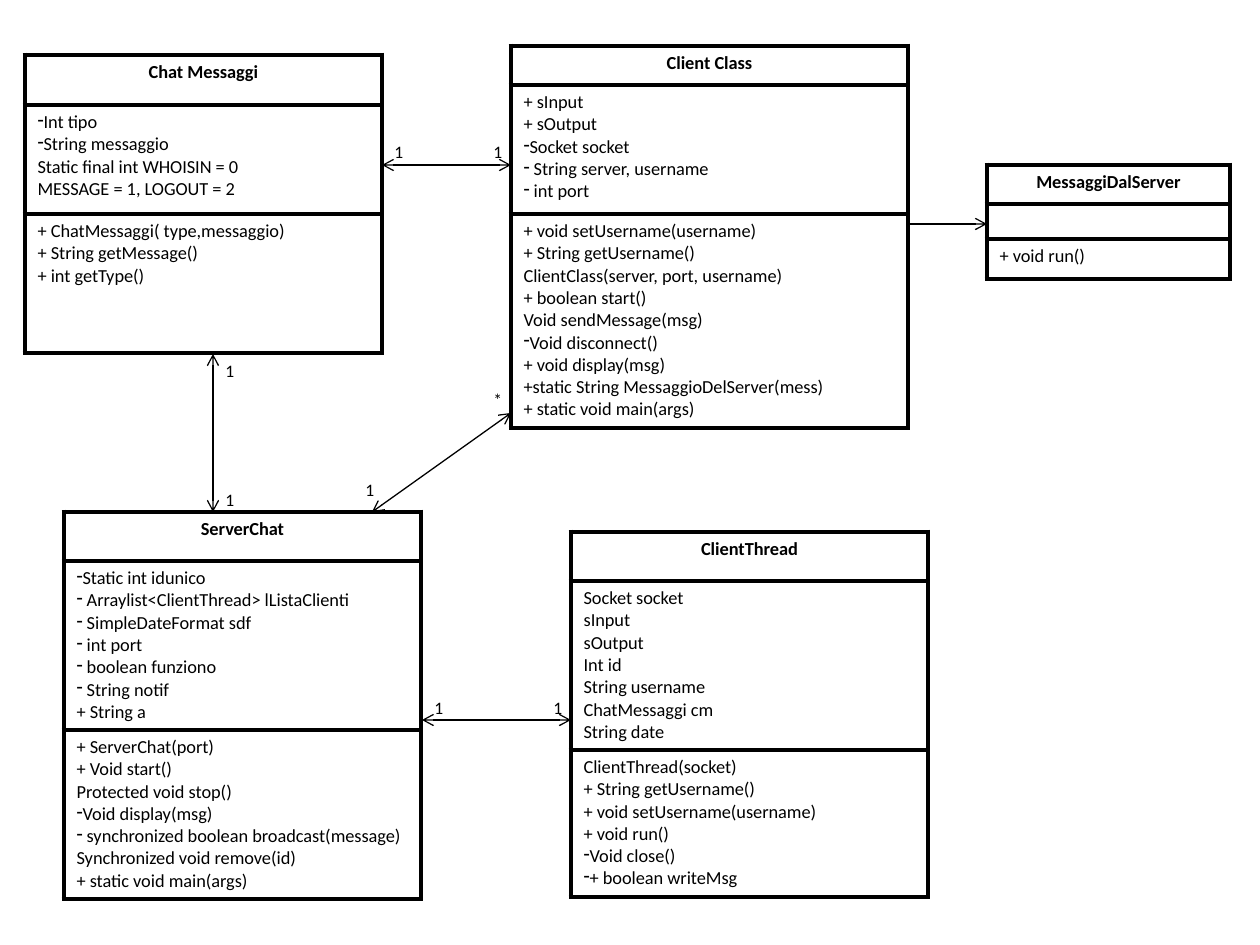
from lxml import etree
from pptx import Presentation, util as u
from pptx.dml.color import RGBColor
from pptx.enum import shapes, text
from pptx.oxml import ns

PX = 914400 / 126
BLACK, WHITE = "000000", "FFFFFF"
FONT = {"name": "Calibri", "size": u.Pt(10.5)}
LABEL_FONT = {"name": "Calibri", "size": u.Pt(10)}
BORDER = u.Pt(3)
LABEL_SIZE = (30, 34)

# Classes: left, top, width, row heights, name, attributes, methods.
# A line that starts with "-" is a bulleted paragraph.
CLASSES = [
    (25, 55, 357, (50, 109, 139), "Chat Messaggi",
     ["-Int tipo", "-String messaggio", "Static final int WHOISIN = 0",
      "MESSAGE = 1, LOGOUT = 2"],
     ["+ ChatMessaggi( type,messaggio)", "+ String getMessage()", "+ int getType()"]),
    (511, 46, 397, (39, 129, 214), "Client Class",
     ["+ sInput", "+ sOutput", "-Socket socket", "- String server, username",
      "- int port"],
     ["+ void setUsername(username)", "+ String getUsername()",
      "ClientClass(server, port, username)", "+ boolean start()",
      "Void sendMessage(msg)", "-Void disconnect()", "+ void display(msg)",
      "+static String MessaggioDelServer(mess)", "+ static void main(args)"]),
    (987, 165, 243, (39, 35, 40), "MessaggiDalServer", [], ["+ void run()"]),
    (64, 512, 357, (49, 169, 169), "ServerChat",
     ["-Static int idunico", "- Arraylist<ClientThread> lListaClienti",
      "- SimpleDateFormat sdf", "- int port", "- boolean funziono",
      "- String notif", "+ String a"],
     ["+ ServerChat(port)", "+ Void start()", "Protected void stop()",
      "-Void display(msg)", "- synchronized boolean broadcast(message)",
      "Synchronized void remove(id)", "+ static void main(args)"]),
    (571, 532, 357, (49, 169, 147), "ClientThread",
     ["Socket socket", "sInput", "sOutput", "Int id", "String username",
      "ChatMessaggi cm", "String date"],
     ["ClientThread(socket)", "+ String getUsername()",
      "+ void setUsername(username)", "+ void run()", "-Void close()",
      "-+ boolean writeMsg"]),
]

# Associations: start, end, arrowheads, multiplicities with their corners
BOTH, END = ("headEnd", "tailEnd"), ("tailEnd",)
ASSOCIATIONS = [
    ((511, 165), (382, 165), BOTH, [("1", 382, 135), ("1", 481, 135)]),
    ((908, 224), (987, 224), END, []),
    ((511, 413), (372, 512), BOTH, [("1", 353, 473), ("*", 481, 383)]),
    ((213, 354), (213, 512), BOTH, [("1", 213, 354), ("1", 213, 483)]),
    ((571, 720), (422, 720), BOTH, [("1", 422, 691), ("1", 541, 691)]),
]


def px(*values):
    return [u.Emu(round(value * PX)) for value in values]


def color(value):
    return RGBColor.from_string(value)


def add_xml(parent, tag, **attributes):
    return etree.SubElement(parent, ns.qn(tag), attributes)


def write(paragraph, content, font):
    run = paragraph.add_run()
    run.text = content
    run.font.color.rgb = color(BLACK)
    for name, value in font.items():
        setattr(run.font, name, value)


def add_bullet(paragraph):
    properties = paragraph._p.get_or_add_pPr()
    properties.set("marL", "0")
    properties.set("indent", "0")
    add_xml(properties, "a:buFontTx")
    add_xml(properties, "a:buChar", char="-")


def style_cell(cell):
    cell.fill.solid()
    cell.fill.fore_color.rgb = color(WHITE)
    properties = cell._tc.get_or_add_tcPr()
    for index, side in enumerate("LRTB"):
        line = add_xml(properties, f"a:ln{side}", w=str(BORDER))
        add_xml(add_xml(line, "a:solidFill"), "a:srgbClr", val=BLACK)
        properties.insert(index, line)


def fill_cell(cell, lines, bold=False):
    style_cell(cell)
    frame = cell.text_frame
    if not lines:  # an empty compartment keeps the height of one text line
        add_xml(frame.paragraphs[0]._p, "a:endParaRPr", sz="1050")
    for index, line in enumerate(lines):
        paragraph = frame.add_paragraph() if index else frame.paragraphs[0]
        if bold:
            paragraph.alignment = text.PP_ALIGN.CENTER
        if line.startswith("-"):
            add_bullet(paragraph)
            line = line[1:]
        write(paragraph, line, {**FONT, "bold": bold})


def add_class(slide, left, top, width, heights, name, attributes, methods):
    frame = slide.shapes.add_table(3, 1, *px(left, top, width, sum(heights)))
    table = frame.table
    table.first_row = table.horz_banding = False
    for row, height in zip(table.rows, px(*heights)):
        row.height = height
    for index, lines in enumerate(([name], attributes, methods)):
        fill_cell(table.cell(index, 0), lines, bold=index == 0)


def add_association(slide, start, end, heads):
    connector = slide.shapes.add_connector(
        shapes.MSO_CONNECTOR.STRAIGHT, *px(*start, *end))
    connector.line.color.rgb = color(BLACK)
    connector.line.width = u.Pt(0.75)
    line = connector.line._get_or_add_ln()
    for head in heads:
        add_xml(line, f"a:{head}", type="arrow")
    add_xml(connector._element.spPr, "a:effectLst")


def add_label(slide, content, left, top):
    frame = slide.shapes.add_textbox(*px(left, top, *LABEL_SIZE)).text_frame
    frame.word_wrap = True
    frame.auto_size = text.MSO_AUTO_SIZE.SHAPE_TO_FIT_TEXT
    write(frame.paragraphs[0], content, LABEL_FONT)


def main():
    presentation = Presentation()
    presentation.slide_width, presentation.slide_height = px(1260, 945)
    slide = presentation.slides.add_slide(presentation.slide_layouts[6])
    for diagram_class in CLASSES:
        add_class(slide, *diagram_class)
    for start, end, heads, labels in ASSOCIATIONS:
        add_association(slide, start, end, heads)
        for label in labels:
            add_label(slide, *label)
    presentation.save("out.pptx")


if __name__ == "__main__":
    main()
